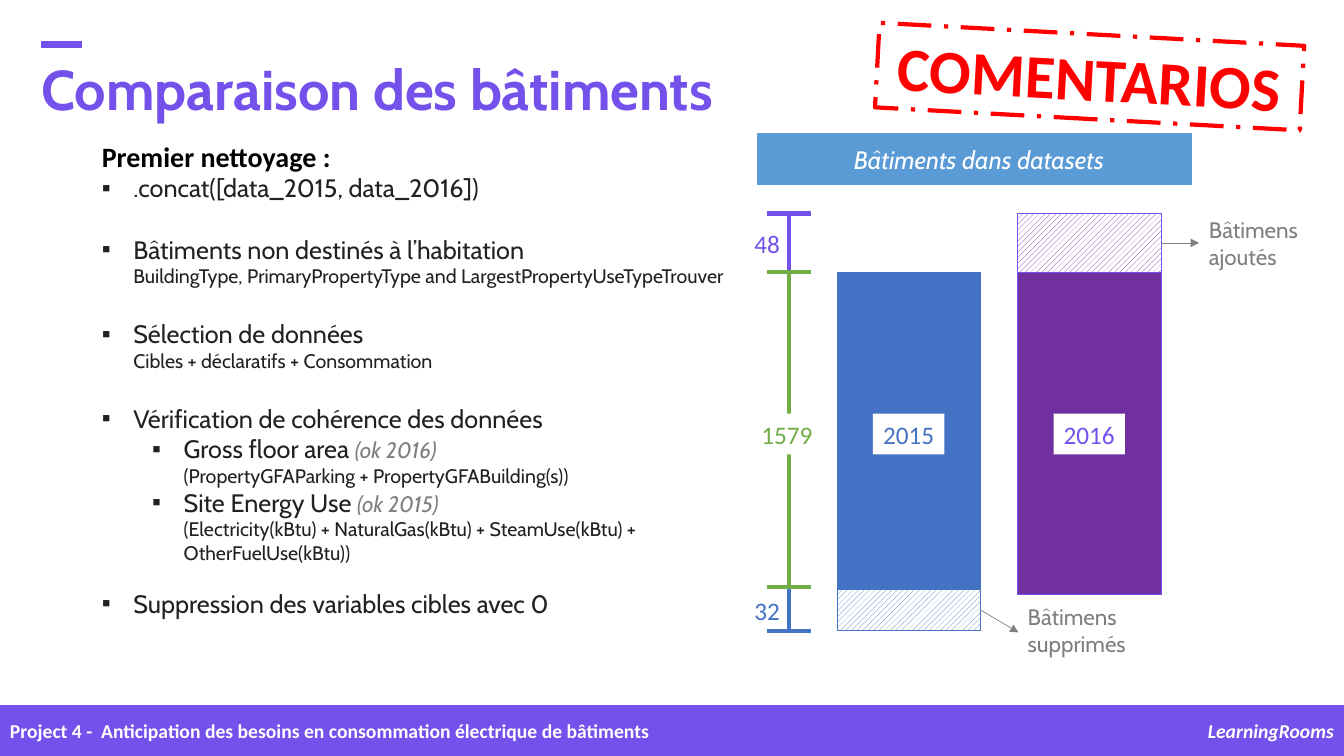
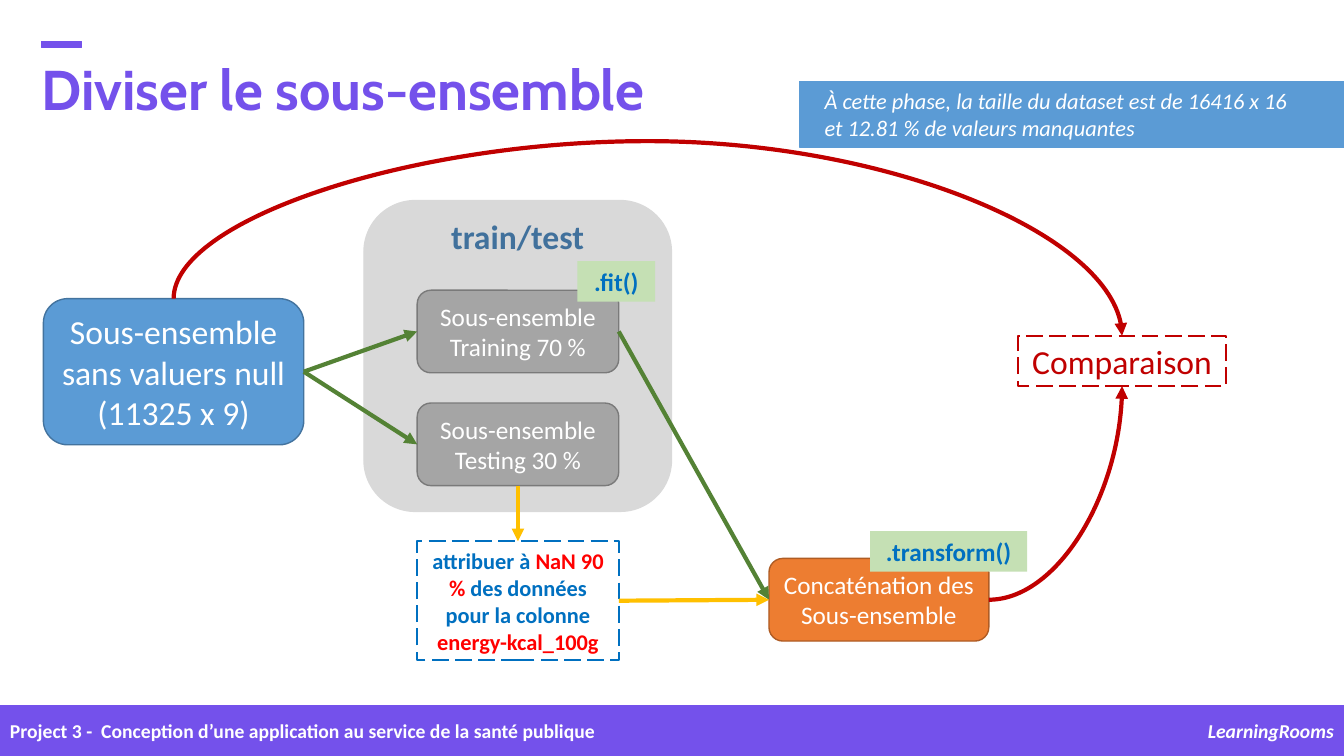
import pptx
import pptx.util
import pptx.dml.color
import pptx.enum.dml
import pptx.enum.shapes
import pptx.enum.text
import pptx.oxml
import pptx.oxml.ns
import lxml.etree

Pt = pptx.util.Pt
qn = pptx.oxml.ns.qn
DASH = pptx.enum.dml.MSO_LINE
KIND = pptx.enum.shapes.MSO_SHAPE
WIRE = pptx.enum.shapes.MSO_CONNECTOR
ALIGN = pptx.enum.text.PP_ALIGN
MIDDLE = pptx.enum.text.MSO_ANCHOR.MIDDLE
WIDE, HIGH = 960, 540
VIOLET, BLUE, SKY, GREEN = "7451EB", "4472C4", "5B9BD5", "70AD47"
PURPLE, GREY, WHITE, RED = "7030A0", "808080", "FFFFFF", "FF0000"
INK, CRIMSON, AZURE, GOLD, MOSS = "202124", "C00000", "0070C0", "FFC000", "548235"
TOP, LEFT, BOTTOM, RIGHT = range(4)


def rgb(code):
    return pptx.dml.color.RGBColor.from_string(code)


def add(node, tag, **attrs):
    child = lxml.etree.SubElement(node, qn(tag))
    for name, value in attrs.items():
        child.set(name, value)
    return child


def write(para, runs, size=18, color=WHITE, font="Calibri", style=""):
    """Add runs to a paragraph; a run is a text or (text, changes)."""
    for run in runs:
        text, more = (run, {}) if isinstance(run, str) else run
        look = dict(size=size, color=color, style=style) | more
        for i, line in enumerate(text.split("\n")):
            if i:
                para.add_line_break()
            if not line:
                continue
            part = para.add_run()
            part.text = line
            part.font.name = font
            part.font.size = Pt(look["size"])
            part.font.color.rgb = rgb(look["color"])
            part.font.bold = "b" in look["style"]
            part.font.italic = "i" in look["style"]


def move(shape, box):
    shape.left, shape.top, shape.width, shape.height = map(Pt, box)


def box(slide, area, paras=(), kind=KIND.RECTANGLE, fill=None, hatch=None, line=None,
        width=1, dash=None, align=ALIGN.CENTER, inset=7.2, wrap=True, **look):
    shape = slide.shapes.add_shape(kind, *map(Pt, area))
    shape.shadow.inherit = False
    if hatch:
        shape.fill.patterned()
        shape.fill.pattern = pptx.enum.dml.MSO_PATTERN.WIDE_UPWARD_DIAGONAL
        shape.fill.fore_color.rgb = rgb(hatch)
        shape.fill.back_color.rgb = rgb(WHITE)
    elif fill:
        shape.fill.solid()
        shape.fill.fore_color.rgb = rgb(fill)
    else:
        shape.fill.background()
    if line:
        shape.line.color.rgb = rgb(line)
        shape.line.width = Pt(width)
        if dash:
            shape.line.dash_style = dash
    else:
        shape.line.fill.background()
    frame = shape.text_frame
    frame.word_wrap = wrap
    frame.vertical_anchor = MIDDLE
    frame.margin_left = Pt(inset)
    for i, runs in enumerate(paras):
        para = frame.add_paragraph() if i else frame.paragraphs[0]
        para.alignment = align
        write(para, runs, **look)
    return shape


def label(slide, area, text, **more):
    return box(slide, area, [[text]], **more)


def wire(slide, start, end, color, width=3, arrow=False, kind=WIRE.STRAIGHT):
    line = slide.shapes.add_connector(kind, *map(Pt, (*start, *end)))
    line.line.color.rgb = rgb(color)
    line.line.width = Pt(width)
    if arrow:
        add(line.line._get_or_add_ln(), "a:tailEnd", type="triangle")
    add(line._element.spPr, "a:effectLst")
    return line


def link(slide, first, side, second, other, color):
    line = wire(slide, (0, 0), (1, 1), color, arrow=True)
    line.begin_connect(first, side)
    line.end_connect(second, other)


def spot(shape, side):
    """Middle of one side of a shape, in points."""
    x, y, w, h = (v.pt for v in (shape.left, shape.top, shape.width, shape.height))
    return {TOP: (x + w / 2, y), LEFT: (x, y + h / 2),
            BOTTOM: (x + w / 2, y + h), RIGHT: (x + w, y + h / 2)}[side]


def bend(slide, start, end, color):
    """Quarter curve that leaves sideways and arrives upright."""
    line = wire(slide, start, end, color, arrow=True, kind=WIRE.CURVE)
    line._element.spPr.find(qn("a:prstGeom")).set("prst", "curvedConnector2")


def arch(slide, start, end, peak, color):
    """Curve that rises from start to the height peak and falls to end."""
    (x1, y1), (x2, y2) = start, end
    cx, cy = (x1 + x2) / 2, (y1 + y2) / 2
    w, h = (y2 - y1) / 2, (x2 - x1) / 2
    line = wire(slide, (cx + w, cy - h), (cx - w, cy + h), color, arrow=True, kind=WIRE.CURVE)
    props = line._element.spPr
    props.find(qn("a:xfrm")).set("rot", "16200000")
    guides = props.find(qn("a:prstGeom")).find(qn("a:avLst"))
    ratio = round((peak - y1) / (y2 - y1) * 100000)
    add(guides, "a:gd", name="adj1", fmla=f"val {ratio}")


def start(deck, layout, title, note):
    """New slide with the shared title, dash and footer band."""
    slide = deck.slides.add_slide(deck.slide_layouts[layout])
    head = slide.shapes.title
    move(head, (22.3, 33.8, 560, 64.8))
    frame = head.text_frame
    frame.auto_size = pptx.enum.text.MSO_AUTO_SIZE.NONE
    frame.vertical_anchor = MIDDLE
    para = frame.paragraphs[0]
    para.alignment = ALIGN.LEFT
    para.line_spacing = 0.9
    write(para, [title], 40, VIOLET, "Cabin", "b")
    box(slide, (29.5, 29.5, 28.8, 4.3), fill=VIOLET, line=VIOLET)
    band = (0, 504, WIDE, 36)
    box(slide, band, fill=VIOLET, line=VIOLET)
    label(slide, (0, 510, 531, 24), note, size=14, style="b", align=ALIGN.LEFT)
    label(slide, (830, 510, 130, 24), "LearningRooms", size=14, style="bi", align=ALIGN.RIGHT)
    return slide


def steps(slide, area):
    small = dict(size=14)
    aside = dict(size=16, color=GREY, style="i")
    items = [  # level, space after, runs
        (0, 22, [".concat([data_2015, data_2016])"]),
        (0, 22, ["Bâtiments non destinés à l’habitation\n",
                 ("BuildingType, PrimaryPropertyType and LargestPropertyUseTypeTrouver", small)]),
        (0, 22, ["Sélection de données\n", ("Cibles + déclaratifs + Consommation", small)]),
        (0, 0, ["Vérification de cohérence des données"]),
        (1, 0, ["Gross floor area ", ("(ok 2016)\n", aside),
                ("(PropertyGFAParking + PropertyGFABuilding(s))", small)]),
        (1, 17, ["Site Energy Use ", ("(ok 2015)\n", aside),
                 ("(Electricity(kBtu) + NaturalGas(kBtu) + SteamUse(kBtu) + OtherFuelUse(kBtu))",
                  small)]),
        (0, 0, ["Suppression des variables cibles avec 0"]),
    ]
    body = slide.placeholders[1]
    move(body, area)
    frame = body.text_frame
    frame.auto_size = pptx.enum.text.MSO_AUTO_SIZE.NONE
    lead = frame.paragraphs[0]
    lead.space_before = Pt(0)
    props = lead._p.get_or_add_pPr()
    props.set("marL", "0")
    props.set("indent", "0")
    add(props, "a:buNone")
    write(lead, ["Premier nettoyage :"], 20, "000000", style="b")
    for level, gap, runs in items:
        para = frame.add_paragraph()
        para.level = level
        para.space_before = Pt(0)
        para.space_after = Pt(gap)
        props = para._p.get_or_add_pPr()
        props.set("marL", str(Pt(22.5 + 36 * level)))
        props.set("indent", str(-Pt(22.5)))
        add(props, "a:buChar", char="▪")
        write(para, runs, 18, INK, "Cabin")


def scale(slide, x, y, marks):
    """Upright ruler: marks are (from, to, colour, text, label centre)."""
    for low, high, color, text, mid in marks:
        wire(slide, (x, y + low), (x, y + high), color)
        if text == "1579":
            label(slide, (x - 27, y + mid - 14.5, 51, 29), text, fill=WHITE, color=color, wrap=False)
        else:
            label(slide, (x - 32, y + mid - 14.5, 33, 29), text, color=color, wrap=False)


def bars(slide, x, y):
    cut, base, foot = 42, 267, 298
    scale(slide, x + 27, y, [(0, cut, VIOLET, "48", 21.5), (cut, base, GREEN, "1579", 157.5),
                             (base, foot, BLUE, "32", 283.5)])
    for level, color in ((0, VIOLET), (cut, GREEN), (base, GREEN), (foot, BLUE)):
        wire(slide, (x + 11.5, y + level), (x + 42.5, y + level), color)
    wide, tall = 102.5, 230.5
    for left, year, fill, line, color in ((61.5, "2015", BLUE, BLUE, BLUE),
                                          (190.5, "2016", PURPLE, VIOLET, VIOLET)):
        box(slide, (x + left, y + cut, wide, tall), fill=fill, line=line, width=0.75)
        label(slide, (x + left + 25.5, y + 143, 51, 29), year, fill=WHITE, color=color, wrap=False)
    gone = box(slide, (x + 61.5, y + 268.5, wide, 29.5), hatch=BLUE, line=BLUE, width=0.75)
    new = box(slide, (x + 190.5, y, wide, cut), hatch=PURPLE, line=VIOLET, width=0.75)
    for part, drop, text, place in ((new, 0, "Bâtimens ajoutés", (x + 320, y - 2, 85, 46)),
                                    (gone, 16, "Bâtimens supprimés", (x + 190.5, y + 274.5, 85, 46))):
        px, py = spot(part, RIGHT)
        wire(slide, (px, py), (px + 27, py + drop), GREY, 0.5, True)
        label(slide, place, text, size=16, color="7F7F7F", font="Cabin", align=ALIGN.LEFT)


def clean(deck):
    slide = start(deck, 1, "Comparaison des bâtiments",
                  "Project 4 -  Anticipation des besoins en consommation électrique de bâtiments")
    steps(slide, (65.5, 95.8, 461, 351))
    label(slide, (541.5, 95.8, 309.5, 36), "Bâtiments dans datasets", fill=SKY, line=SKY,
          font="Cabin", style="i", inset=13)
    bars(slide, 536.5, 152.5)
    stamp = label(slide, (626.4, 24.5, 303.8, 60.5), "COMENTARIOS", line=RED, width=3,
                  dash=DASH.LONG_DASH_DOT, size=44, color=RED, style="b")
    stamp.rotation = 3.1


def flow(slide, x, y):
    soft = KIND.ROUNDED_RECTANGLE
    hot = dict(color=RED)
    tag = dict(fill="C5E0B4", color=AZURE, style="b")
    grey = dict(kind=soft, fill="A5A5A5", line="7A7A7A")
    box(slide, (x + 229, y, 219.6, 222), kind=soft, fill="D9D9D9", line="D9D9D9")
    label(slide, (x + 280, y + 7, 117.5, 36), "train/test", size=24, color="41719C", style="b")
    base = box(slide, (x, y + 70, 186, 104.4), [["Sous-ensemble"], ["sans valuers null\n(11325 x 9)"]],
               kind=soft, fill=SKY, line="43739E", size=24)
    train, test = (box(slide, (x + 267, y + 64 + 80.6 * i, 144, 59), [["Sous-ensemble"], [text]], **grey)
                   for i, text in enumerate(("Training 70 %", "Testing 30 %")))
    hide = box(slide, (x + 267, y + 243.3, 144, 85),
               [["attribuer à ", ("NaN 90 %", hot), " des données pour la colonne ",
                 ("energy-kcal_100g", hot)]],
               line=AZURE, width=1.5, dash=DASH.LONG_DASH, size=16, color=AZURE, style="b")
    join = label(slide, (x + 518.3, y + 255.6, 157, 59), "Concaténation des Sous-ensemble",
                 kind=soft, fill="ED7D31", line="AF5C24")
    match = label(slide, (x + 696.3, y + 96.5, 148.3, 36), "Comparaison", line=CRIMSON, width=1.5,
                  dash=DASH.LONG_DASH, size=24, color=CRIMSON)
    for first, side, second, other, color in (
            (base, RIGHT, train, LEFT, MOSS), (base, RIGHT, test, LEFT, MOSS),
            (train, RIGHT, join, LEFT, MOSS), (hide, RIGHT, join, LEFT, GOLD),
            (test, BOTTOM, hide, TOP, GOLD)):
        link(slide, first, side, second, other, color)
    label(slide, (x + 381.5, y + 43.2, 55.5, 29), ".fit()", **tag)
    label(slide, (x + 590.5, y + 236, 112.3, 29), ".transform()", **tag)
    bend(slide, spot(join, RIGHT), spot(match, BOTTOM), CRIMSON)
    arch(slide, spot(base, TOP), spot(match, TOP), y - 42.5, CRIMSON)


def split(deck):
    slide = start(deck, 5, "Diviser le sous-ensemble",
                  "Project 3 -  Conception d’une application au service de la santé publique")
    flow(slide, 31, 143.3)
    box(slide, (571, 58.3, 389, 46.8), [["À cette phase, la taille du dataset est de 16416 x 16"],
                                        ["et 12.81 % de valeurs manquantes"]],
        fill=SKY, line=SKY, size=16, style="i", align=ALIGN.LEFT, inset=18)


def main():
    deck = pptx.Presentation()
    deck.slide_width, deck.slide_height = Pt(WIDE), Pt(HIGH)
    clean(deck)
    split(deck)
    deck.save("out.pptx")


if __name__ == "__main__":
    main()
